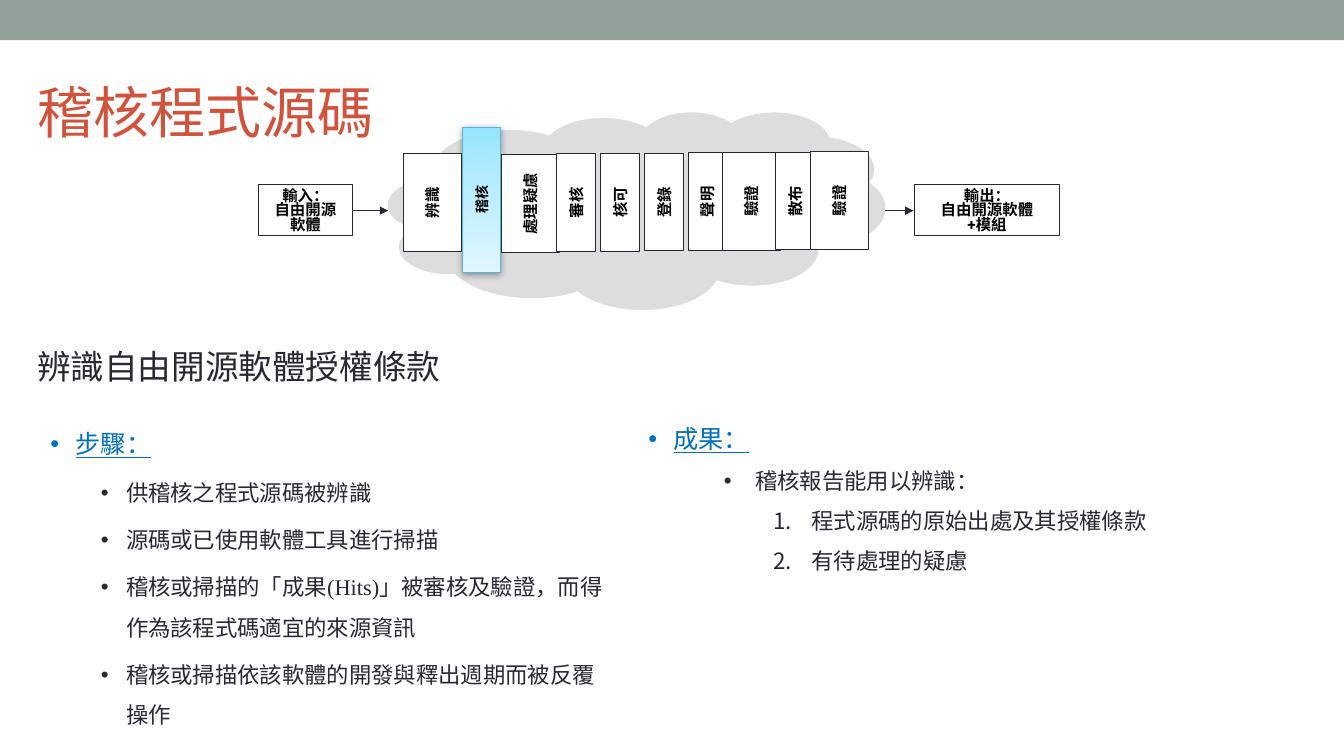
from lxml import etree
from pptx import Presentation
from pptx.dml.color import RGBColor
from pptx.enum.shapes import MSO_CONNECTOR as CONNECTOR, MSO_SHAPE as SHAPE
from pptx.enum.text import MSO_ANCHOR as ANCHOR, MSO_AUTO_SIZE as AUTO_SIZE, PP_ALIGN as ALIGN
from pptx.oxml import parse_xml
from pptx.oxml.ns import nsdecls, qn
from pptx.util import Inches, Pt

COLORS = {"band": "93A299", "cloud": "DDDDDD", "ink": "292934", "title": "D2533C",
          "blue": "0070C0", "white": "FFFFFF", "black": "000000", "glow": "55B4E5"}
SERIF, SANS = "Times New Roman", "Roboto"


def color(name):
    return RGBColor.from_string(COLORS[name])


def place(shape, left, top, width, height):
    shape.left, shape.top = Inches(left), Inches(top)
    shape.width, shape.height = Inches(width), Inches(height)


def set_font(paragraph, name, size, ink, bold=False, underline=False):
    font = paragraph.font
    font.name, font.size, font.bold, font.underline = name, Pt(size), bold, underline
    font.color.rgb = color(ink)


def add_block(slide, kind, box, fill, line=None):
    block = slide.shapes.add_shape(kind, *map(Inches, box))
    block.shadow.inherit = False
    block.fill.solid()
    block.fill.fore_color.rgb = color(fill)
    if line:
        block.line.color.rgb = color(line)
        block.line.width = Pt(0.75)
    else:
        block.line.fill.background()
    return block


def write_label(shape, lines, size=11, spacing=None, anchor=ANCHOR.MIDDLE):
    frame = shape.text_frame
    frame.word_wrap = True
    frame.vertical_anchor = anchor
    frame.text = "\n".join(lines)
    for paragraph in frame.paragraphs:
        paragraph.alignment = ALIGN.CENTER
        if spacing:
            paragraph.line_spacing = Pt(spacing)
        set_font(paragraph, SANS, size, "black", bold=True)


def add_arrow(slide, x1, x2, y):
    arrow = slide.shapes.add_connector(
        CONNECTOR.STRAIGHT, Inches(x1), Inches(y), Inches(x2), Inches(y))
    arrow.line.color.rgb = color("ink")
    arrow.line.width = Pt(0.75)
    etree.SubElement(arrow.line._get_or_add_ln(), qn("a:tailEnd"), type="triangle")
    etree.SubElement(arrow._element.spPr, qn("a:effectLst"))


def add_stage(slide, name, center_x, center_y, thickness):
    length = 0.97
    box = (center_x - length / 2, center_y - thickness / 2, length, thickness)
    stage = add_block(slide, SHAPE.RECTANGLE, box, "white", "ink")
    stage.rotation = 270
    write_label(stage, [name])


def add_current_stage(slide, name, left, top, width, height):
    bar = add_block(slide, SHAPE.RECTANGLE, (left, top, width, height), "white", "glow")
    bar.rotation = 180
    stops = "".join(f'<a:gs pos="{pos}"><a:srgbClr val="{tint}"/></a:gs>' for pos, tint in
                    ((0, "95E5FF"), (35000, "B4EBFF"), (100000, "E0F7FF")))
    props = bar._element.spPr
    props.replace(props.find(qn("a:solidFill")), parse_xml(
        f'<a:gradFill {nsdecls("a")} rotWithShape="1"><a:gsLst>{stops}</a:gsLst>'
        '<a:lin ang="16200000" scaled="1"/></a:gradFill>'))
    props.find(qn("a:effectLst")).append(parse_xml(
        f'<a:outerShdw {nsdecls("a")} blurRad="63500" dist="20320" dir="5400000" '
        'rotWithShape="0"><a:srgbClr val="000000"><a:alpha val="38000"/></a:srgbClr>'
        '</a:outerShdw>'))
    label_w, label_h = 1.44, 0.37
    label = slide.shapes.add_textbox(
        Inches(left + (width - label_w) / 2), Inches(top + (height - label_h) / 2),
        Inches(label_w), Inches(label_h))
    label.rotation = 270
    write_label(label, [name], size=10)


def add_process(slide, left, top):
    """Cloud of stages between the input and output boxes."""
    cloud = add_block(slide, SHAPE.CLOUD_CALLOUT, (left + 1.29, top, 4.93, 1.96), "cloud")
    cloud.adjustments[0], cloud.adjustments[1] = -0.246, 0.157

    # Stages
    middle = top + 0.9
    add_current_stage(slide, "稽核", left + 2.03, top + 0.15, 0.37, 1.44)
    add_stage(slide, "辨識", left + 1.73, middle, 0.57)
    add_stage(slide, "處理疑慮", left + 2.7, middle + 0.01, 0.57)
    later = ("審核", "核可", "登錄", "聲明", "驗證", "散布", "驗證")
    for i, name in enumerate(later):
        add_stage(slide, name, left + 3.155 + i * 0.435, middle - i * 0.003,
                  0.57 if name == "驗證" else 0.39)

    # Input and output
    for x, width, lines in ((0, 0.94, ["輸入：", "自由開源軟體"]),
                            (6.51, 1.44, ["輸出：", "自由開源軟體", "+模組"])):
        end = add_block(slide, SHAPE.RECTANGLE, (left + x, top + 0.72, width, 0.51),
                        "white", "ink")
        write_label(end, lines, spacing=10.5, anchor=ANCHOR.TOP)
    add_arrow(slide, left + 0.94, left + 1.29, top + 0.98)
    add_arrow(slide, left + 6.22, left + 6.5, top + 0.98)


def add_title(slide, text, box):
    title = slide.shapes.title
    place(title, *box)
    frame = title.text_frame
    frame.text = text
    frame.auto_size = AUTO_SIZE.NONE
    frame.vertical_anchor = ANCHOR.MIDDLE
    frame.paragraphs[0].alignment = ALIGN.LEFT
    set_font(frame.paragraphs[0], SERIF, 40, "title")


def add_subtitle(slide, text, box):
    subtitle = slide.shapes.add_textbox(*map(Inches, box))
    subtitle.text_frame.word_wrap = True
    subtitle.text_frame.text = text
    set_font(subtitle.text_frame.paragraphs[0], SERIF, 24, "ink")


def fill_list(body, box, heading, items):
    """Each item is (text, level, left margin, hanging, space before, numbered)."""
    place(body, *box)
    frame = body.text_frame
    frame.auto_size = AUTO_SIZE.NONE
    rows = [(heading, 0, 0.25, 0.25, 0, False), *items]
    frame.text = "\n".join(row[0] for row in rows)
    for paragraph, (text, level, margin, hanging, before, numbered) in zip(frame.paragraphs, rows):
        is_heading = text == heading
        ink = "blue" if is_heading else "ink"
        paragraph.level = level
        paragraph.line_spacing = 1.5
        paragraph.space_before = Pt(before)
        props = paragraph._p.get_or_add_pPr()
        props.set("marL", str(Inches(margin)))
        props.set("indent", str(-Inches(hanging)))
        tint = etree.SubElement(props, qn("a:buClr"))
        etree.SubElement(tint, qn("a:srgbClr"), val=COLORS[ink])
        if numbered:
            etree.SubElement(props, qn("a:buFont"), typeface=SERIF)
            etree.SubElement(props, qn("a:buAutoNum"), type="arabicPeriod")
        else:
            etree.SubElement(props, qn("a:buFont"), typeface="Arial")
            etree.SubElement(props, qn("a:buChar"), char="•")
        set_font(paragraph, SERIF, 18 if is_heading else 16, ink, underline=is_heading)


def main():
    deck = Presentation()
    deck.slide_width, deck.slide_height = Inches(13.33), Inches(7.5)
    slide = deck.slides.add_slide(deck.slide_layouts.get_by_name("Two Content"))

    add_block(slide, SHAPE.RECTANGLE, (0, 0, 13.33, 0.4), "band")
    add_title(slide, "稽核程式源碼", (0.27, 0.56, 12, 1.08))
    add_process(slide, 2.56, 1.11)
    add_subtitle(slide, "辨識自由開源軟體授權條款", (0.27, 3.38, 4.44, 0.5))

    steps = ("供稽核之程式源碼被辨識",
             "源碼或已使用軟體工具進行掃描",
             "稽核或掃描的「成果(Hits)」被審核及驗證，而得作為該程式碼適宜的來源資訊",
             "稽核或掃描依該軟體的開發與釋出週期而被反覆操作")
    fill_list(slide.placeholders[1], (0.4, 4.05, 5.81, 2.86), "步驟：",
              [(step, 1, 0.75, 0.25, 5, False) for step in steps])
    findings = ("程式源碼的原始出處及其授權條款", "有待處理的疑慮")
    fill_list(slide.placeholders[2], (6.33, 4, 6.32, 2.52), "成果：",
              [("稽核報告能用以辨識：", 0, 1.06, 0.31, 0, False)]
              + [(finding, 1, 1.62, 0.38, 0, True) for finding in findings])
    deck.save("out.pptx")


if __name__ == "__main__":
    main()
